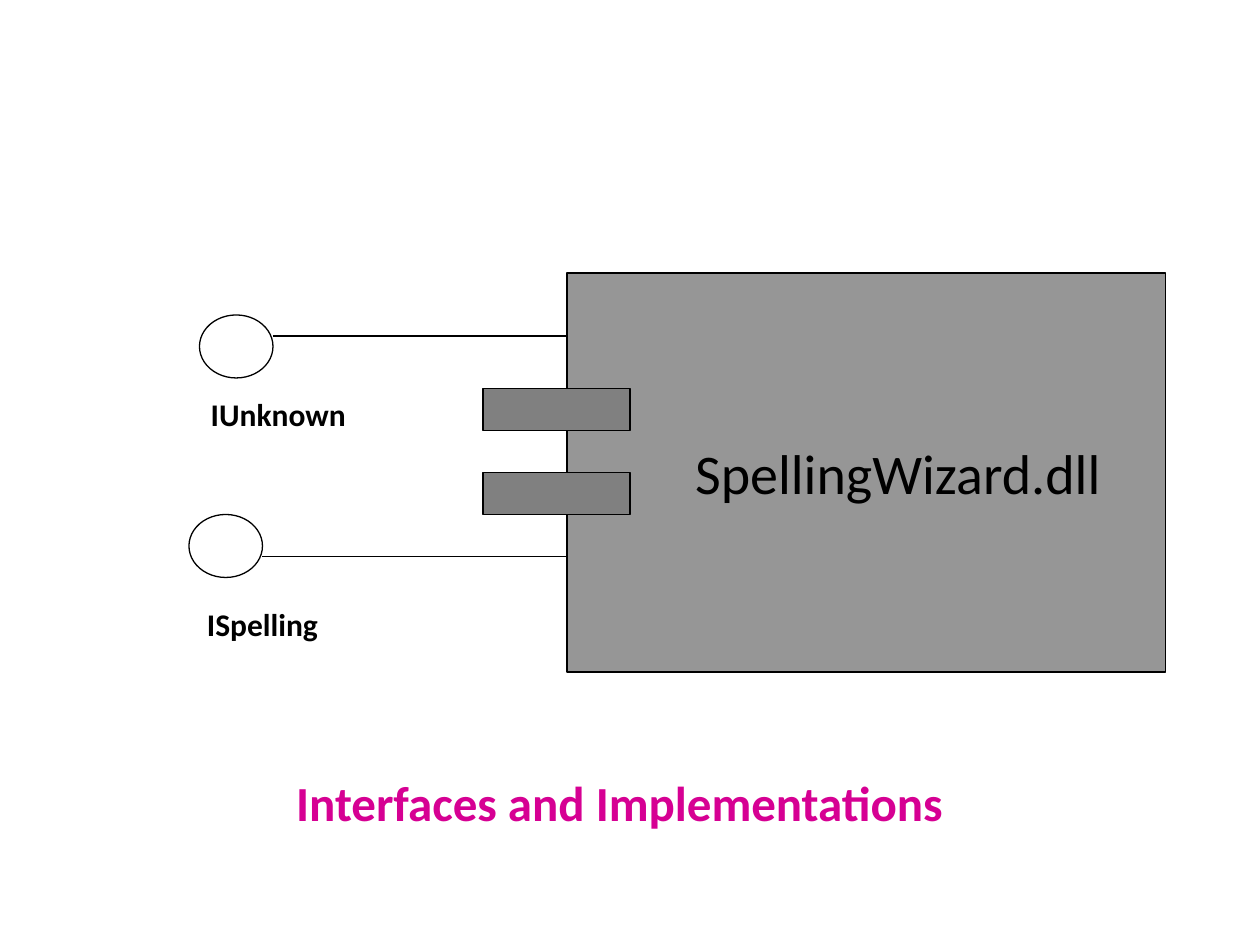
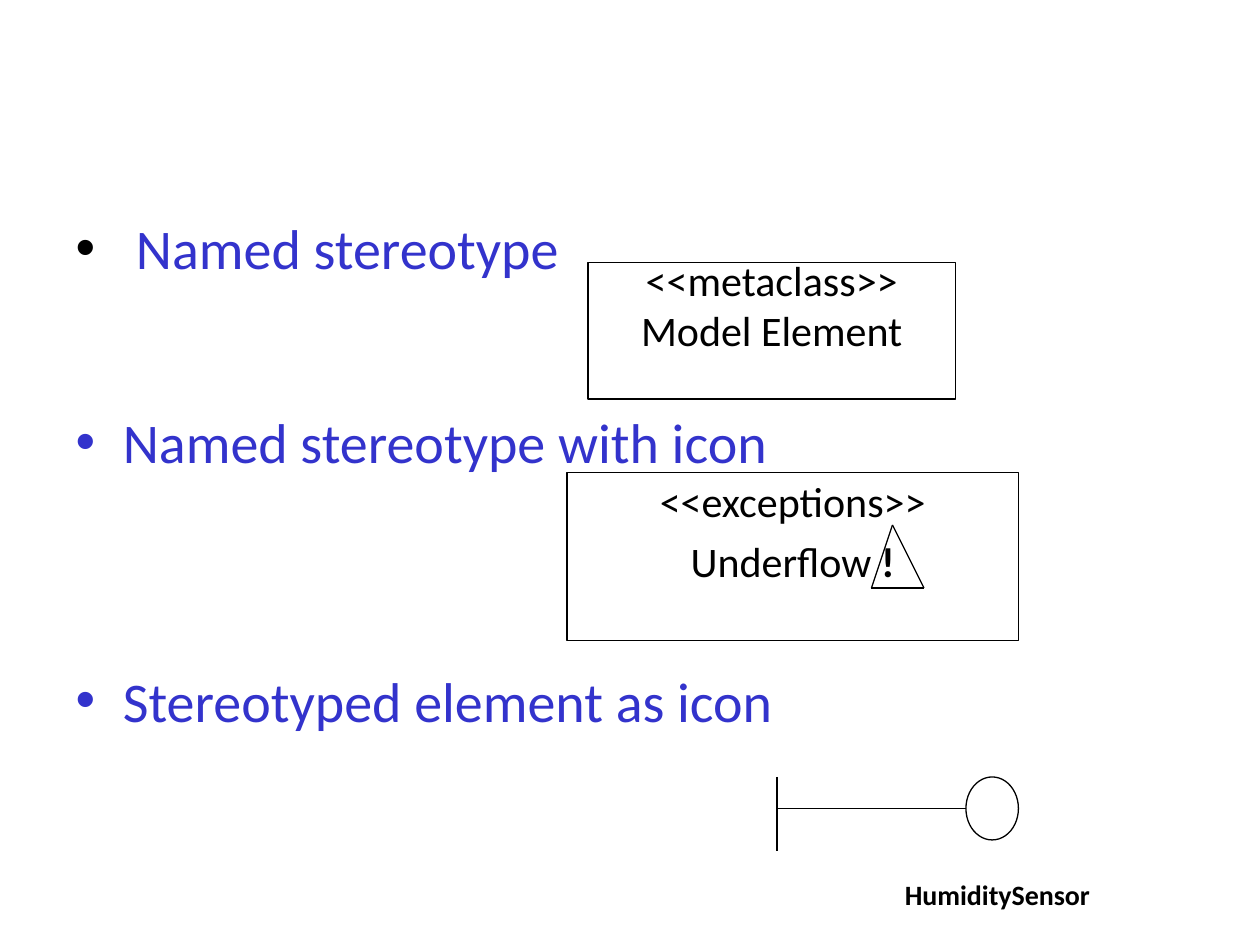
import pptx
import pptx.dml.color
import pptx.enum.shapes
import pptx.enum.text
import pptx.oxml.ns
import pptx.util
from lxml import etree

RGB = pptx.dml.color.RGBColor
SHAPES = pptx.enum.shapes.MSO_SHAPE
ALIGN = pptx.enum.text.PP_ALIGN
ANCHOR = pptx.enum.text.MSO_ANCHOR
qn = pptx.oxml.ns.qn

BLACK = RGB(0x00, 0x00, 0x00)
COMPONENT_GREY = RGB(0x96, 0x96, 0x96)
PORT_GREY = RGB(0x80, 0x80, 0x80)
MAGENTA = RGB(0xD6, 0x00, 0x93)
LIST_BLUE = RGB(0x33, 0x33, 0xCC)

FONT = "Calibri"
LINE_WIDTH = pptx.util.Pt(0.75)
SCALE = 9525  # EMU in one px, 96 px to the inch


def px(length):
    return pptx.util.Emu(length * SCALE)


def place(shape, left, top, width, height):
    shape.left, shape.top = px(left), px(top)
    shape.width, shape.height = px(width), px(height)


def style_text(frame, size, color=BLACK, bold=False, align=ALIGN.CENTER):
    frame.word_wrap = True
    frame.auto_size = pptx.enum.text.MSO_AUTO_SIZE.NONE
    for para in frame.paragraphs:
        para.alignment = align
        for span in para.runs:
            span.font.name = FONT
            span.font.size = pptx.util.Pt(size)
            span.font.bold = bold
            span.font.color.rgb = color


def add_outline(page, kind, left, top, width, height, fill=None):
    shape = page.shapes.add_shape(kind, px(left), px(top), px(width), px(height))
    shape.shadow.inherit = False
    if fill is None:
        shape.fill.background()
    else:
        shape.fill.solid()
        shape.fill.fore_color.rgb = fill
    shape.line.color.rgb = BLACK
    shape.line.width = LINE_WIDTH
    return shape


def add_line(page, start, end):
    line = page.shapes.add_connector(
        pptx.enum.shapes.MSO_CONNECTOR.STRAIGHT,
        px(start[0]), px(start[1]), px(end[0]), px(end[1]))
    line.line.color.rgb = BLACK
    line.line.width = LINE_WIDTH
    properties = line._element.find(qn("p:spPr"))
    etree.SubElement(properties, qn("a:effectLst"))


def add_label(page, text, left, top, width, height, size):
    label = page.shapes.add_textbox(px(left), px(top), px(width), px(height))
    label.text_frame.text = text
    style_text(label.text_frame, size, bold=True)


# Slide 1: a component and its interfaces

def add_component(page, left, top, width, height):
    body = add_outline(page, SHAPES.RECTANGLE, left, top, width, height, COMPONENT_GREY)
    frame = body.text_frame
    frame.text = "SpellingWizard.dll"
    frame.vertical_anchor = ANCHOR.MIDDLE
    frame.margin_left = px(58)
    style_text(frame, 32)
    for row in range(2):
        add_outline(page, SHAPES.RECTANGLE, left - 64, top + 88 + 64 * row, 112, 32, PORT_GREY)


def add_interface(page, left, top, line_drop, line_end):
    width, height = 56, 48
    add_outline(page, SHAPES.OVAL, left, top, width, height)
    level = top + line_drop
    add_line(page, (left + width, level), (line_end, level))


def build_component_slide(deck):
    page = deck.slides.add_slide(deck.slide_layouts[5])
    edge = 432
    add_component(page, edge, 208, 456, 304)
    add_interface(page, 152, 240, 16, edge)
    add_interface(page, 144, 392, 32, edge)
    add_label(page, "IUnknown", 128, 296, 168, 38, 18)
    add_label(page, "ISpelling", 120, 456, 160, 38, 18)

    # Title below the diagram
    title = page.shapes.title
    place(title, 160, 584, 624, 55)
    title.text_frame.text = "Interfaces and Implementations"
    title.text_frame.vertical_anchor = ANCHOR.TOP
    style_text(title.text_frame, 28, MAGENTA, bold=True)


# Slide 2: three ways to show a stereotype

def set_bullet(para, indent, color):
    properties = para._p.get_or_add_pPr()
    properties.set("marL", str(px(indent)))
    properties.set("indent", str(-px(indent)))
    bullet_color = etree.SubElement(properties, qn("a:buClr"))
    etree.SubElement(bullet_color, qn("a:srgbClr"), val=str(color))
    etree.SubElement(properties, qn("a:buFont"), typeface="Arial")
    etree.SubElement(properties, qn("a:buChar"), char="•")


def fill_list(body, left, top, width, height):
    # Text, rows left free above it, indent, bullet colour
    entries = [
        ("Named stereotype", 0, 46, BLACK),
        ("Named stereotype with icon", 2, 36, LIST_BLUE),
        ("Stereotyped element as icon", 3, 36, LIST_BLUE),
    ]
    place(body, left, top, width, height)
    frame = body.text_frame
    frame.text = "\n".join(entry[0] for entry in entries)
    style_text(frame, 32, LIST_BLUE, align=ALIGN.LEFT)
    for para, (_, free_rows, indent, color) in zip(frame.paragraphs, entries):
        para.line_spacing = 0.8
        para.space_before = pptx.util.Pt(6 + 37 * free_rows)
        set_bullet(para, indent, color)


def add_class_box(page, text, left, top, width, height):
    box = add_outline(page, SHAPES.RECTANGLE, left, top, width, height)
    frame = box.text_frame
    frame.text = text
    frame.vertical_anchor = ANCHOR.MIDDLE
    frame.margin_bottom = px(44)
    style_text(frame, 24)
    return frame


def add_exception_box(page, left, top, width, height):
    frame = add_class_box(page, "<<exceptions>>\nUnderflow ", left, top, width, height)
    para = frame.paragraphs[1]
    para.space_before = pptx.util.Pt(5)
    mark = para.add_run()
    mark.text = "!"
    style_text(frame, 24)
    mark.font.bold = True

    # Warning triangle around the mark
    corners = [(left + x, top + y) for x, y in ((248, 40), (232, 88), (272, 88))]
    for index, corner in enumerate(corners):
        add_line(page, corners[index - 1], corner)


def add_sensor_icon(page, left, top):
    level, circle_left = top + 24, left + 144
    add_line(page, (left, top), (left, top + 56))
    add_line(page, (left, level), (circle_left, level))
    add_outline(page, SHAPES.OVAL, circle_left, top, 40, 48)
    add_label(page, "HumiditySensor", left + 56, top + 72, 224, 36, 16)


def build_stereotype_slide(deck):
    page = deck.slides.add_slide(deck.slide_layouts[1])
    title = page.shapes.title._element
    title.getparent().remove(title)
    fill_list(page.placeholders[1], 48, 168, 888, 520)
    add_class_box(page, "<<metaclass>>\nModel Element", 448, 200, 280, 104)
    add_exception_box(page, 432, 360, 344, 128)
    add_sensor_icon(page, 592, 592)


def main():
    deck = pptx.Presentation()
    deck.slide_width, deck.slide_height = px(960), px(720)
    build_component_slide(deck)
    build_stereotype_slide(deck)
    deck.save("out.pptx")


if __name__ == "__main__":
    main()
